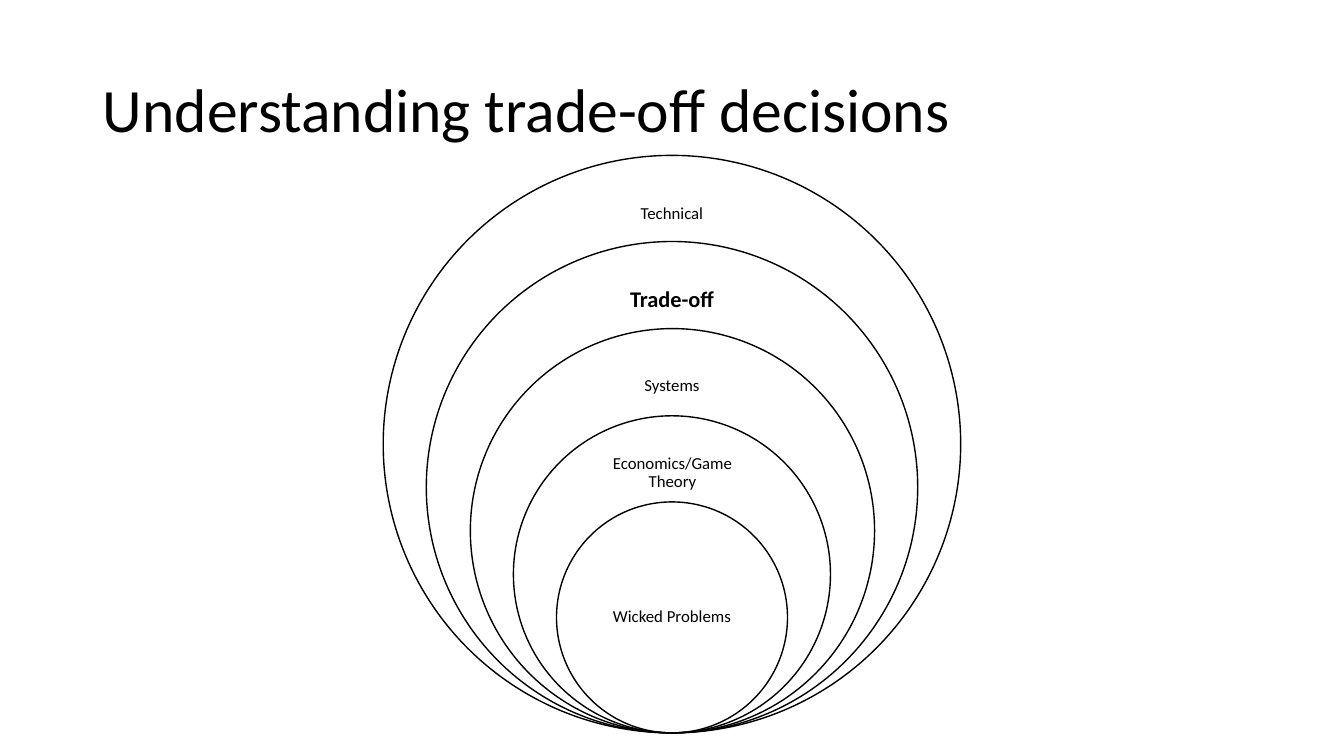
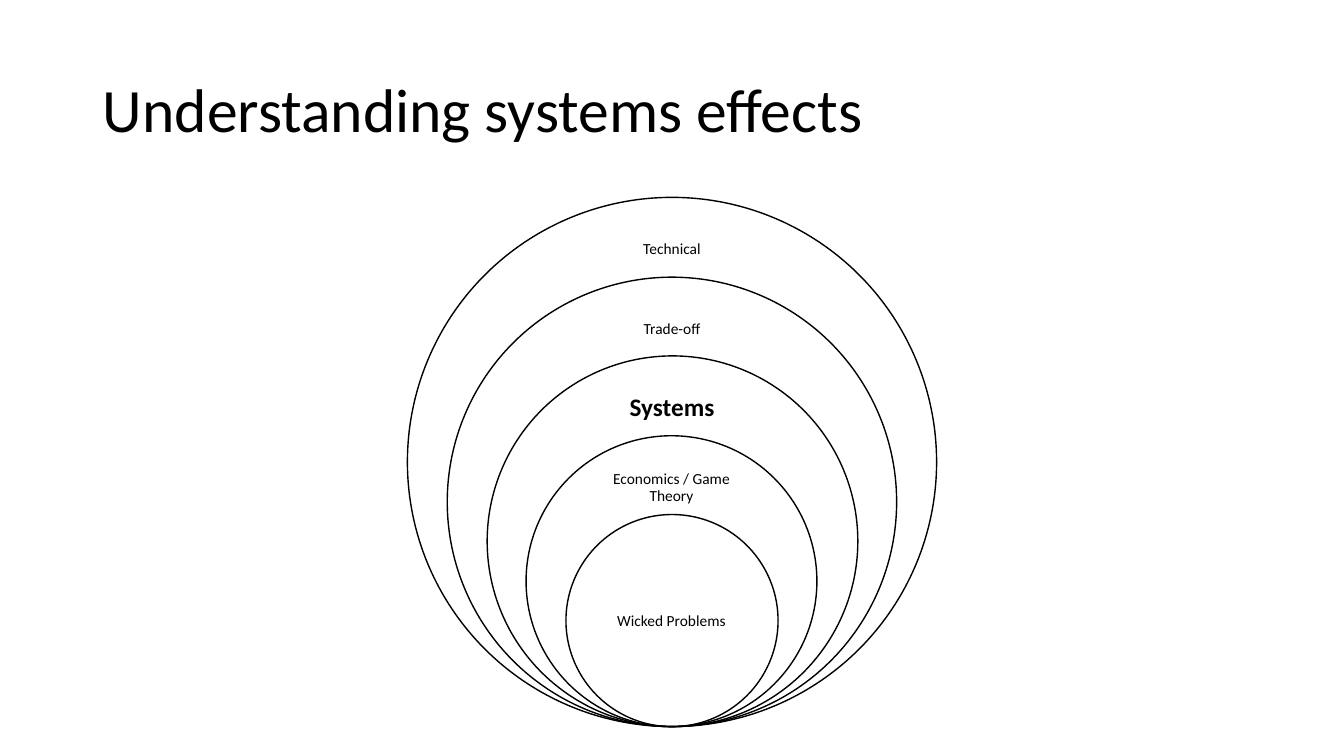
from dataclasses import dataclass

from pptx import Presentation
from pptx import util as u
from pptx.dml.color import RGBColor
from pptx.enum import shapes, text

# Shared style
PX = 9525  # EMU per px, 96 px to the inch
SLIDE_WIDTH, SLIDE_HEIGHT = 1280, 720
FONT = "Calibri"
INK = "000000"
TITLE_SIZE = 44
LINE_SPACING = 0.9

# Ring geometry, as shares of the outer diameter
RING_STEP = 0.15
BAND_LABEL_TOP, BAND_LABEL_HEIGHT = 0.05, 0.1
CORE_LABEL_TOP, CORE_LABEL_HEIGHT = 0.1, 0.2
LABEL_WIDTHS = (0.37, 0.37, 0.37, 0.3, 0.28)


@dataclass(frozen=True)
class Box:
    left: int
    top: int
    width: int
    height: int

    def emu(self) -> tuple[int, int, int, int]:
        return self.left * PX, self.top * PX, self.width * PX, self.height * PX


@dataclass(frozen=True)
class RingSlide:
    title: str
    labels: tuple[str, ...]
    focus: str
    top: int
    diameter: int
    label_size: int
    focus_size: int


TITLE_BOX = Box(88, 38, 1104, 139)

RING_SLIDES = (
    RingSlide(
        "Understanding trade-off decisions",
        ("Technical", "Trade-off", "Systems", "Economics/Game Theory", "Wicked Problems"),
        focus="Trade-off", top=148, diameter=550, label_size=12, focus_size=16,
    ),
    RingSlide(
        "Understanding systems effects",
        ("Technical", "Trade-off", "Systems", "Economics / Game Theory", "Wicked Problems"),
        focus="Systems", top=188, diameter=504, label_size=11, focus_size=18,
    ),
)


def color(value: str) -> RGBColor:
    return RGBColor.from_string(value)


def centred(top: float, width: float, height: float) -> Box:
    """Box placed on the vertical axis of the slide."""
    return Box(round((SLIDE_WIDTH - width) / 2), round(top), round(width), round(height))


def add_text(page, box: Box, words: str, size: int, align, inset_x: int, inset_y: int,
             bold: bool = False) -> None:
    frame = page.shapes.add_textbox(*box.emu()).text_frame
    frame.word_wrap = True
    frame.vertical_anchor = text.MSO_ANCHOR.MIDDLE
    frame.margin_left = frame.margin_right = inset_x * PX
    frame.margin_top = frame.margin_bottom = inset_y * PX
    para = frame.paragraphs[0]
    para.alignment = align
    para.line_spacing = LINE_SPACING
    span = para.add_run()
    span.text = words
    span.font.name = FONT
    span.font.size = u.Pt(size)
    span.font.bold = bold
    span.font.color.rgb = color(INK)


def add_ring(page, box: Box) -> None:
    ring = page.shapes.add_shape(shapes.MSO_SHAPE.OVAL, *box.emu())
    ring.shadow.inherit = False
    ring.fill.background()
    ring.line.color.rgb = color(INK)
    ring.line.width = u.Pt(1)


def add_rings(page, item: RingSlide) -> None:
    """Nested circles that all touch at the bottom, each with its label."""
    unit = item.diameter
    for index, (label, label_width) in enumerate(zip(item.labels, LABEL_WIDTHS)):
        offset = index * RING_STEP * unit
        top = item.top + offset
        add_ring(page, centred(top, unit - offset, unit - offset))

        is_core = index == len(item.labels) - 1
        label_top = CORE_LABEL_TOP if is_core else BAND_LABEL_TOP
        label_height = CORE_LABEL_HEIGHT if is_core else BAND_LABEL_HEIGHT
        is_focus = label == item.focus
        size = item.focus_size if is_focus else item.label_size
        inset = round(size * 0.75)
        box = centred(top + label_top * unit, label_width * unit, label_height * unit)
        add_text(page, box, label, size, text.PP_ALIGN.CENTER, inset, inset, is_focus)


def main() -> None:
    deck = Presentation()
    deck.slide_width = SLIDE_WIDTH * PX
    deck.slide_height = SLIDE_HEIGHT * PX
    blank = deck.slide_layouts[6]
    for item in RING_SLIDES:
        page = deck.slides.add_slide(blank)
        add_text(page, TITLE_BOX, item.title, TITLE_SIZE, text.PP_ALIGN.LEFT, 10, 5)
        add_rings(page, item)
    deck.save("out.pptx")


if __name__ == "__main__":
    main()
